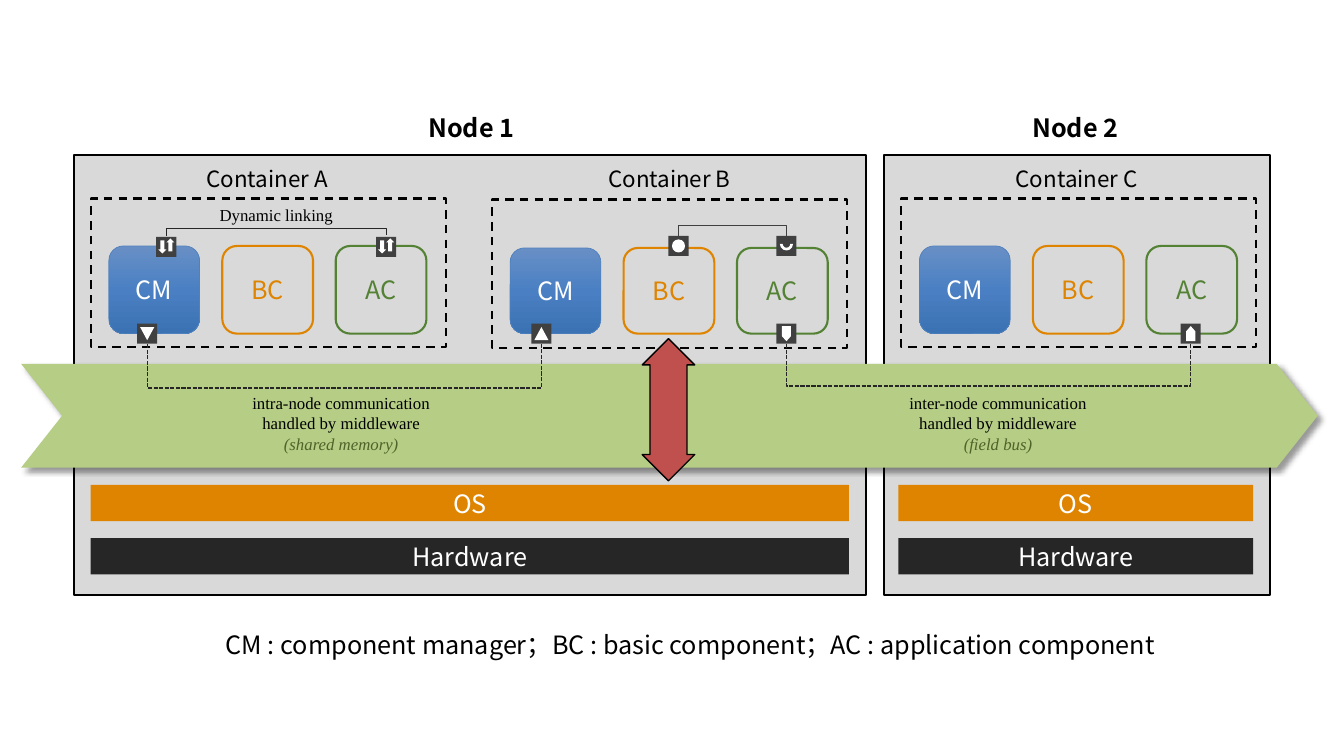
import copy

import pptx
import pptx.dml.color
import pptx.enum.dml
import pptx.enum.shapes
import pptx.enum.text
import pptx.oxml
import pptx.oxml.ns
import pptx.util

Inches = pptx.util.Inches
Pt = pptx.util.Pt
qn = pptx.oxml.ns.qn
SHAPES = pptx.enum.shapes.MSO_SHAPE
ALIGN = pptx.enum.text.PP_ALIGN
DASH = pptx.enum.dml.MSO_LINE

SANS = "Noto Sans CJK SC"
SERIF = "Times New Roman"
COLORS = {
    "black": "000000", "white": "FFFFFF", "node": "D9D9D9",
    "orange": "DE8400", "green": "548235", "hardware": "262626",
    "icon": "404040", "manager line": "4F81BD", "bus": "B5CD85",
    "medium": "4F6228", "arrow": "C0504D",
    "light blue": "688FC5", "mid blue": "4A80C3", "deep blue": "3B72B3",
}
MANAGER_GRADIENT = ("light blue", "mid blue", "deep blue")


def rgb(name):
    return pptx.dml.color.RGBColor.from_string(COLORS[name])


class Diagram:
    """Draws diagram parts on one slide in a shared style."""

    def __init__(self, slide):
        self.slide = slide

    def add_run(self, paragraph, text, font, size, color, bold=False, italic=False):
        run = paragraph.add_run()
        run.text = text
        run.font.name = font
        run.font.size = Pt(size)
        run.font.color.rgb = rgb(color)
        run.font.bold = bold
        run.font.italic = italic
        east_asian = pptx.oxml.parse_xml(
            f'<a:ea {pptx.oxml.ns.nsdecls("a")} typeface="{font}"/>')
        run.font._element.find(qn("a:latin")).addnext(east_asian)

    def shape(self, kind, left, top, width, height, fill=None, line=None,
              line_width=1.5, dash=None, adjustments=(), rotation=0):
        shape = self.slide.shapes.add_shape(
            kind, Inches(left), Inches(top), Inches(width), Inches(height))
        shape.shadow.inherit = False
        shape.rotation = rotation
        for index, value in enumerate(adjustments):
            shape.adjustments[index] = value
        if fill:
            shape.fill.solid()
            shape.fill.fore_color.rgb = rgb(fill)
        else:
            shape.fill.background()
        if line:
            shape.line.color.rgb = rgb(line)
            shape.line.width = Pt(line_width)
            if dash:
                shape.line.dash_style = dash
        else:
            shape.line.fill.background()
        return shape

    def caption(self, shape, text, color):
        shape.text_frame.vertical_anchor = pptx.enum.text.MSO_ANCHOR.MIDDLE
        paragraph = shape.text_frame.paragraphs[0]
        paragraph.alignment = ALIGN.CENTER
        self.add_run(paragraph, text, SANS, 18, color)

    def text(self, left, top, width, height, lines, font, size,
             align=ALIGN.CENTER, bold=False):
        """Each line is a (text, color, italic) tuple and becomes a paragraph."""
        frame = self.slide.shapes.add_textbox(
            Inches(left), Inches(top), Inches(width), Inches(height)).text_frame
        frame.word_wrap = True
        for index, (text, color, italic) in enumerate(lines):
            paragraph = frame.add_paragraph() if index else frame.paragraphs[0]
            paragraph.alignment = align
            self.add_run(paragraph, text, font, size, color, bold, italic)

    def label(self, left, top, width, text, size, bold=False, font=SANS):
        self.text(left, top, width, 0.4, [(text, "black", False)], font, size, bold=bold)

    def gradient(self, shape, names):
        shape.fill.gradient()
        shape.fill.gradient_angle = 270
        stop_list = shape._element.spPr.find(".//" + qn("a:gsLst"))
        stop_list.insert(1, copy.deepcopy(stop_list[0]))
        for index, (stop, name) in enumerate(zip(shape.fill.gradient_stops, names)):
            stop.position = index / (len(names) - 1)
            stop.color.rgb = rgb(name)

    def node(self, left, width, bar_left, bar_width):
        self.shape(SHAPES.ROUNDED_RECTANGLE, left, 1.54, width, 4.36, "node", "black",
                   adjustments=[0])
        for text, top, fill in (("OS", 4.81, "orange"), ("Hardware", 5.34, "hardware")):
            bar = self.shape(SHAPES.RECTANGLE, bar_left, top, bar_width, 0.36, fill)
            self.caption(bar, text, "white")

    def container(self, left, top, component_top):
        self.shape(SHAPES.RECTANGLE, left, top, 3.52, 1.47, line="black", dash=DASH.DASH)
        components = (("CM", "white", "manager line", 0.5),
                      ("BC", "orange", "orange", 1.5),
                      ("AC", "green", "green", 1.5))
        for index, (text, color, line, line_width) in enumerate(components):
            component = self.shape(
                SHAPES.ROUNDED_RECTANGLE, left + 0.18 + 1.125 * index, component_top,
                0.9, 3.31 - component_top, line=line, line_width=line_width)
            if text == "CM":
                self.gradient(component, MANAGER_GRADIENT)
            self.caption(component, text, color)

    def port(self, x, y, *glyphs):
        """Glyphs are (kind, dx, dy, width, height, rotation, adjustments) about the centre."""
        self.shape(SHAPES.RECTANGLE, x - 0.1, y - 0.1, 0.2, 0.2, "icon")
        for kind, dx, dy, width, height, rotation, adjustments in glyphs:
            self.shape(kind, x + dx - width / 2, y + dy - height / 2, width, height,
                       "white", rotation=rotation, adjustments=adjustments)

    def link(self, start_x, end_x, y, rise, color, dash=None):
        """Joins two ports at height y by a bracket that goes up by rise."""
        middle, span, thickness = (start_x + end_x) / 2, end_x - start_x, 0.01
        connector = self.slide.shapes.add_connector(
            pptx.enum.shapes.MSO_CONNECTOR.ELBOW,
            Inches(middle - thickness / 2), Inches(y - span / 2),
            Inches(middle + thickness / 2), Inches(y + span / 2))
        connector.line.color.rgb = rgb(color)
        connector.line.width = Pt(1)
        if dash:
            connector.line.dash_style = dash
        properties = connector._element.spPr
        transform = properties.find(qn("a:xfrm"))
        for name, value in (("rot", "5400000"), ("flipH", "1"), ("flipV", "1")):
            transform.set(name, value)
        guides = properties.find(qn("a:prstGeom")).get_or_add_avLst()
        guides.append(pptx.oxml.parse_xml(
            f'<a:gd {pptx.oxml.ns.nsdecls("a")} name="adj1" '
            f'fmla="val {round(rise / thickness * 100000)}"/>'))
        properties.append(pptx.oxml.parse_xml(
            f'<a:effectLst {pptx.oxml.ns.nsdecls("a")}/>'))

    def bus(self):
        bus = self.shape(SHAPES.CHEVRON, 0.21, 3.61, 12.86, 1.03, "bus", adjustments=[0.395])
        effects = bus._element.spPr.find(qn("a:effectLst"))
        effects.append(pptx.oxml.parse_xml(
            f'<a:outerShdw {pptx.oxml.ns.nsdecls("a")} blurRad="{Pt(4)}" dist="{Pt(3)}" '
            'dir="2700000" algn="tl" rotWithShape="0"><a:srgbClr val="000000">'
            '<a:alpha val="40000"/></a:srgbClr></a:outerShdw>'))


def main():
    presentation = pptx.Presentation()
    presentation.slide_width = Inches(13.33)
    presentation.slide_height = Inches(7.5)
    diagram = Diagram(presentation.slides.add_slide(presentation.slide_layouts[6]))

    diagram.node(8.77, 3.83, 8.91, 3.52)
    diagram.node(0.73, 7.86, 0.9, 7.52)
    for left, top, component_top in ((0.9, 1.97, 2.44), (4.88, 1.98, 2.46),
                                     (8.94, 1.97, 2.44)):
        diagram.container(left, top, component_top)
    for name, center in (("A", 2.65), ("B", 6.64), ("C", 10.68)):
        diagram.label(center - 1.25, 1.59, 2.5, f"Container {name}", 16)
    diagram.label(3.93, 1.07, 1.49, "Node 1", 18, bold=True)
    diagram.label(9.92, 1.07, 1.49, "Node 2", 18, bold=True)

    diagram.port(6.73, 2.44, (SHAPES.OVAL, 0, 0, 0.13, 0.13, 0, ()))
    diagram.port(7.8, 2.44, (SHAPES.BLOCK_ARC, 0, -0.02, 0.13, 0.13, 180, (108, 216, 0.211)))
    diagram.link(6.73, 7.8, 2.35, 0.12, "icon")
    for x in (1.65, 3.83):
        diagram.port(x, 2.45, (SHAPES.RIGHT_ARROW, -0.04, 0, 0.13, 0.08, 90, ()),
                     (SHAPES.RIGHT_ARROW, 0.04, -0.02, 0.13, 0.08, 270, ()))
    diagram.link(1.65, 3.83, 2.34, 0.08, "hardware")

    diagram.bus()
    for x, rotation in ((7.8, 90), (11.81, 270)):
        diagram.port(x, 3.31, (SHAPES.PENTAGON, 0, 0, 0.15, 0.09, rotation, (0.562,)))
    diagram.link(7.8, 11.81, 3.41, -0.42, "hardware", DASH.SQUARE_DOT)
    for x, rotation in ((1.46, 180), (5.37, 0)):
        diagram.port(x, 3.31, (SHAPES.ISOSCELES_TRIANGLE, 0, 0, 0.14, 0.13, rotation, ()))
    diagram.link(1.46, 5.37, 3.41, -0.44, "hardware", DASH.SQUARE_DOT)
    for left, width, scope, medium in ((1.36, 4.09, "intra", "shared memory"),
                                       (7.49, 4.86, "inter", "field bus")):
        diagram.text(left, 3.85, width, 0.71, [
            (f"{scope}-node communication ", "black", False),
            ("handled by middleware ", "black", False),
            (f"({medium}) ", "medium", True)], SERIF, 12)
    diagram.shape(SHAPES.UP_DOWN_ARROW, 6.37, 3.36, 0.52, 1.41, "arrow", "black", 1,
                  adjustments=[0.434, 0.706])

    diagram.label(2.01, 1.98, 1.46, "Dynamic linking", 12, font=SERIF)
    legend = "CM : component manager；BC : basic component；AC : application component"
    diagram.text(2.14, 6.19, 10.21, 0.4, [(legend, "black", False)], SANS, 18, ALIGN.LEFT)

    presentation.save("out.pptx")


if __name__ == "__main__":
    main()
